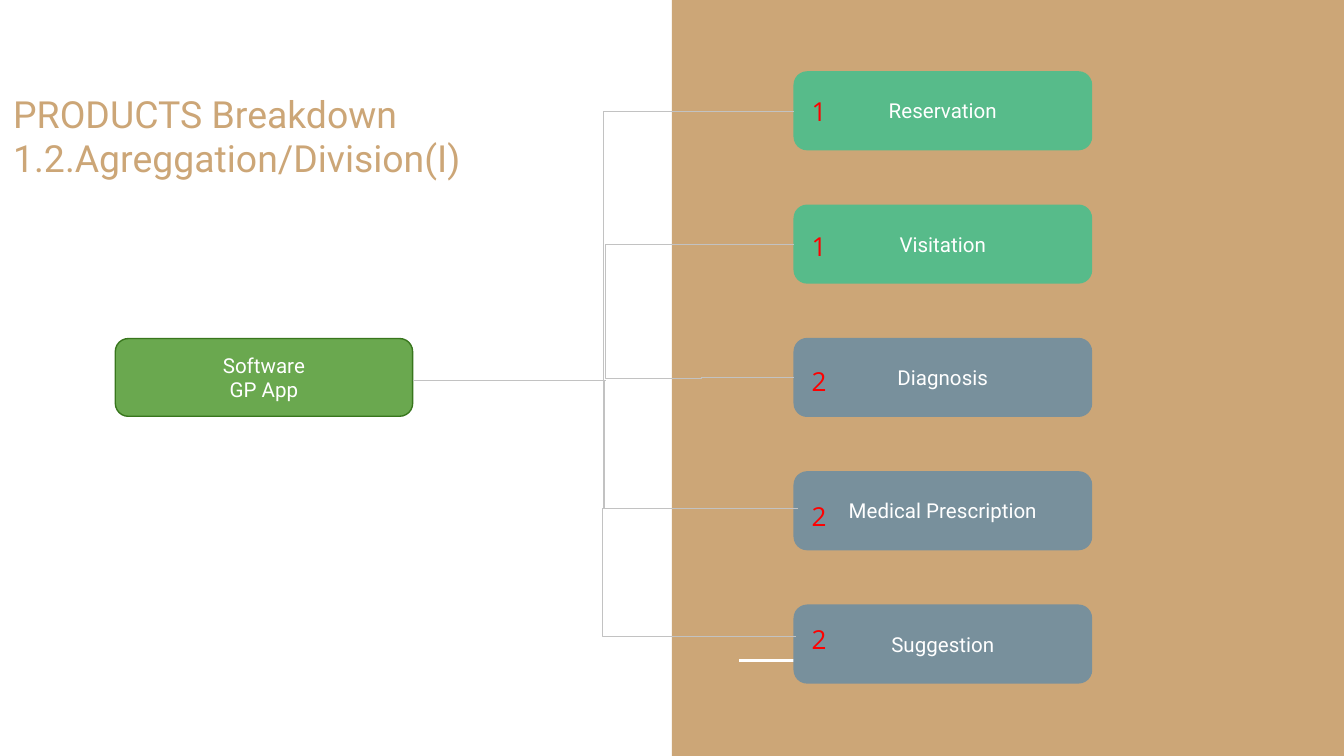
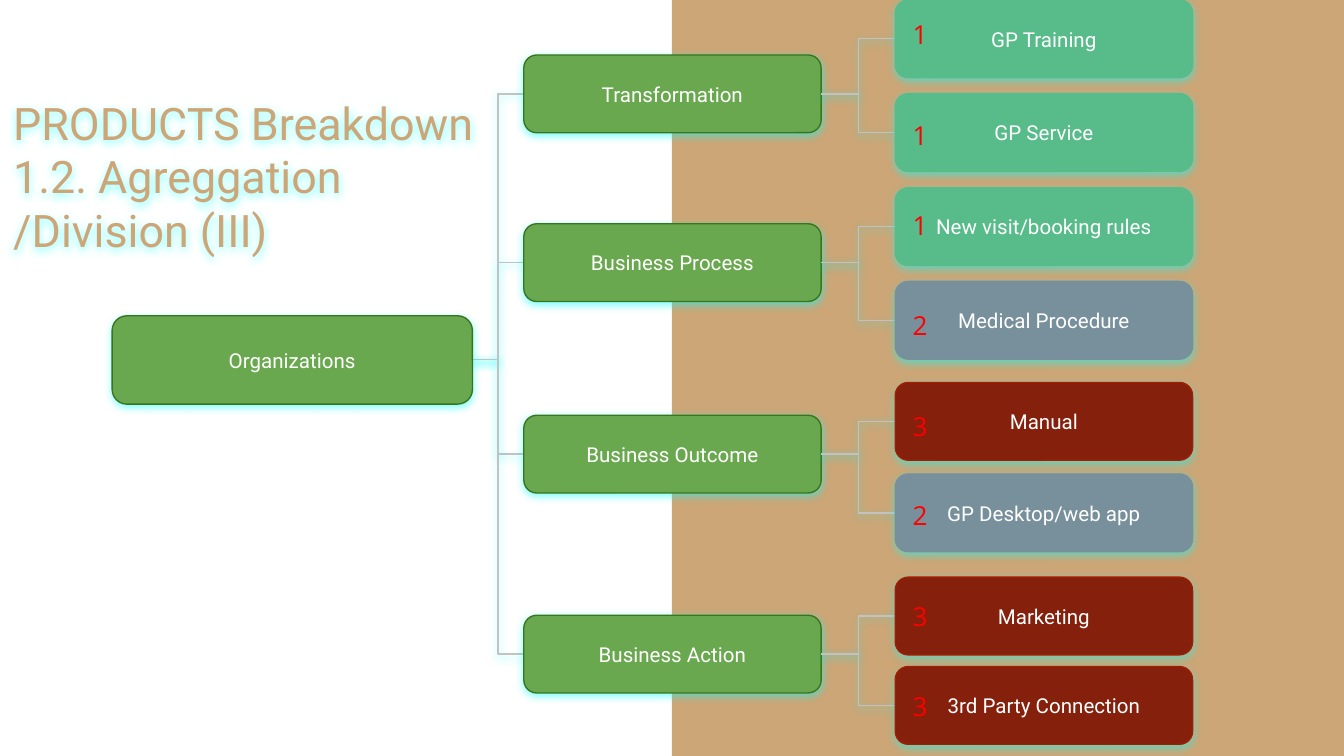
from lxml.etree import SubElement
from pptx import Presentation
from pptx.dml.color import RGBColor
from pptx.enum.shapes import MSO_CONNECTOR as LINE, MSO_SHAPE as SHAPE
from pptx.enum.text import MSO_ANCHOR as ANCHOR, PP_ALIGN as ALIGN
from pptx.oxml.ns import qn
from pptx.util import Cm, Pt

WIDTH, HEIGHT = 25.4, 14.29
TAN, WHITE, GREY, RED, CYAN = "CCA677", "FFFFFF", "C2C2C2", "FF0000", "00FFFF"
PARENT = ("6AA84F", "38761D")
PHASES = {
    1: ("57BB8A", "57BB8A"),
    2: ("78909C", "78909C"),
    3: ("85200C", "A61C00"),
}
BOX_W, BOX_H = 5.62, 1.47


def color(value):
    return RGBColor.from_string(value)


def set_effects(shape, shadow):
    effects = SubElement(shape._element.spPr, qn("a:effectLst"))
    if shadow:
        outer = SubElement(effects, qn("a:outerShdw"), blurRad="57150", dist="19050",
                           dir="5400000", algn="bl", rotWithShape="0")
        tint = SubElement(outer, qn("a:srgbClr"), val=CYAN)
        SubElement(tint, qn("a:alpha"), val="50000")


def write(shape, lines, size, font, ink, anchor, align=ALIGN.LEFT):
    tf = shape.text_frame
    tf.word_wrap = True
    tf.vertical_anchor = anchor
    tf.margin_left = tf.margin_right = tf.margin_top = tf.margin_bottom = Cm(0.25)
    for i, line in enumerate(lines):
        p = tf.add_paragraph() if i else tf.paragraphs[0]
        p.text = line
        p.alignment = align
        p.font.size = Pt(size)
        p.font.name = font
        p.font.color.rgb = color(ink)


def add_band(s):
    band = s.shapes.add_shape(SHAPE.RECTANGLE, Cm(WIDTH / 2), 0, Cm(WIDTH / 2), Cm(HEIGHT))
    band.shadow.inherit = False
    band.fill.solid()
    band.fill.fore_color.rgb = color(TAN)
    band.line.fill.background()


def add_title(s, box, text, size, shadow=False):
    title = s.shapes.add_textbox(*map(Cm, box))
    write(title, [text], size, "Roboto", TAN, ANCHOR.BOTTOM)
    set_effects(title, shadow)


def add_node(s, box, lines, style, shadow=False):
    node = s.shapes.add_shape(SHAPE.ROUNDED_RECTANGLE, *map(Cm, box))
    fill, edge = style
    node.fill.solid()
    node.fill.fore_color.rgb = color(fill)
    node.line.color.rgb = color(edge)
    node.line.width = Pt(0.75)
    write(node, lines, 11, "Roboto", WHITE, ANCHOR.MIDDLE, ALIGN.CENTER)
    set_effects(node, shadow)


def add_phase_item(s, left, top, text, phase, drop, shadow=False):
    add_node(s, (left, top, BOX_W, BOX_H), [text], PHASES[phase], shadow)
    number = s.shapes.add_textbox(Cm(left + 0.08), Cm(top + drop), Cm(0.6), Cm(1.1))
    write(number, [str(phase)], 14, "Open Sans", RED, ANCHOR.TOP)


def add_line(s, ends, kind=LINE.ELBOW, ink=GREY, width=0.75, bend=None, shadow=False):
    line = s.shapes.add_connector(kind, *map(Cm, ends))
    line.line.color.rgb = color(ink)
    line.line.width = Pt(width)
    if bend is not None:
        guides = line._element.spPr.find(qn("a:prstGeom")).find(qn("a:avLst"))
        SubElement(guides, qn("a:gd"), name="adj1", fmla=f"val {round(bend * 100000)}")
    set_effects(line, shadow)


def software_slide(prs):
    s = prs.slides.add_slide(prs.slide_layouts[6])
    add_band(s)
    add_line(s, (13.97, 12.49, 15.27, 12.49), LINE.STRAIGHT, WHITE, 1.5)
    add_title(s, (0, 0.41, 12.04, 3.25),
              "PRODUCTS Breakdown \v1.2.Agreggation/Division(I)", 20)
    add_node(s, (2.18, 6.4, BOX_W, BOX_H), ["Software", "GP App"], PARENT)
    items = [
        ("Reservation", 1, 0.2),
        ("Visitation", 1, 0.23),
        ("Diagnosis", 2, 0.25),
        ("Medical Prescription", 2, 0.28),
        ("Suggestion", 2, 0.1),
    ]
    for i, (text, phase, drop) in enumerate(items):
        add_phase_item(s, 15.01, 1.36 + 2.52 * i, text, phase, drop)
    branches = [
        ((7.8, 7.19, 15.01, 2.11), 0.5),
        ((11.51, 7.16, 15.01, 4.62), -0.02),
        ((15.01, 7.14, 11.51, 7.16), 0.5),
        ((15.08, 9.61, 11.45, 7.19), 1.01),
        ((15.05, 12.03, 11.43, 9.61), 1.01),
    ]
    for ends, bend in branches:
        add_line(s, ends, bend=bend)


def organization_slide(prs):
    s = prs.slides.add_slide(prs.slide_layouts[6])
    add_band(s)
    add_title(s, (0, -0.08, 14.2, 5.18),
              "PRODUCTS Breakdown \v1.2. Agreggation\v/Division (III)", 24, True)
    root_right, root_middle = 8.93, 6.8
    branch_left, item_left = 9.9, 16.92
    branches = [
        ("Transformation", 1.04,
         [("GP Training", 0, 1, 0.1), ("GP Service", 1.77, 1, 0.23)]),
        ("Business Process", 4.23,
         [("New visit/booking rules", 3.55, 1, 0.15), ("Medical Procedure", 5.32, 2, 0.28)]),
        ("Business Outcome", 7.85,
         [("Manual", 7.23, 3, 0.28), ("GP Desktop/web app", 8.96, 2, 0.23)]),
        ("Business Action", 11.63,
         [("Marketing", 10.91, 3, 0.18), ("3rd Party Connection", 12.6, 3, 0.2)]),
    ]
    for name, top, items in branches:
        middle = top + BOX_H / 2
        add_line(s, (root_right, root_middle, branch_left, middle), shadow=True)
        add_node(s, (branch_left, top, BOX_W, BOX_H), [name], PARENT, True)
        for text, item_top, phase, drop in items:
            add_line(s, (branch_left + BOX_W, middle, item_left, item_top + BOX_H / 2),
                     shadow=True)
            add_phase_item(s, item_left, item_top, text, phase, drop, True)
    add_node(s, (2.12, 5.97, 6.81, 1.67), ["Organizations"], PARENT, True)


def main():
    prs = Presentation()
    prs.slide_width, prs.slide_height = Cm(WIDTH), Cm(HEIGHT)
    software_slide(prs)
    organization_slide(prs)
    prs.save("out.pptx")


if __name__ == "__main__":
    main()
